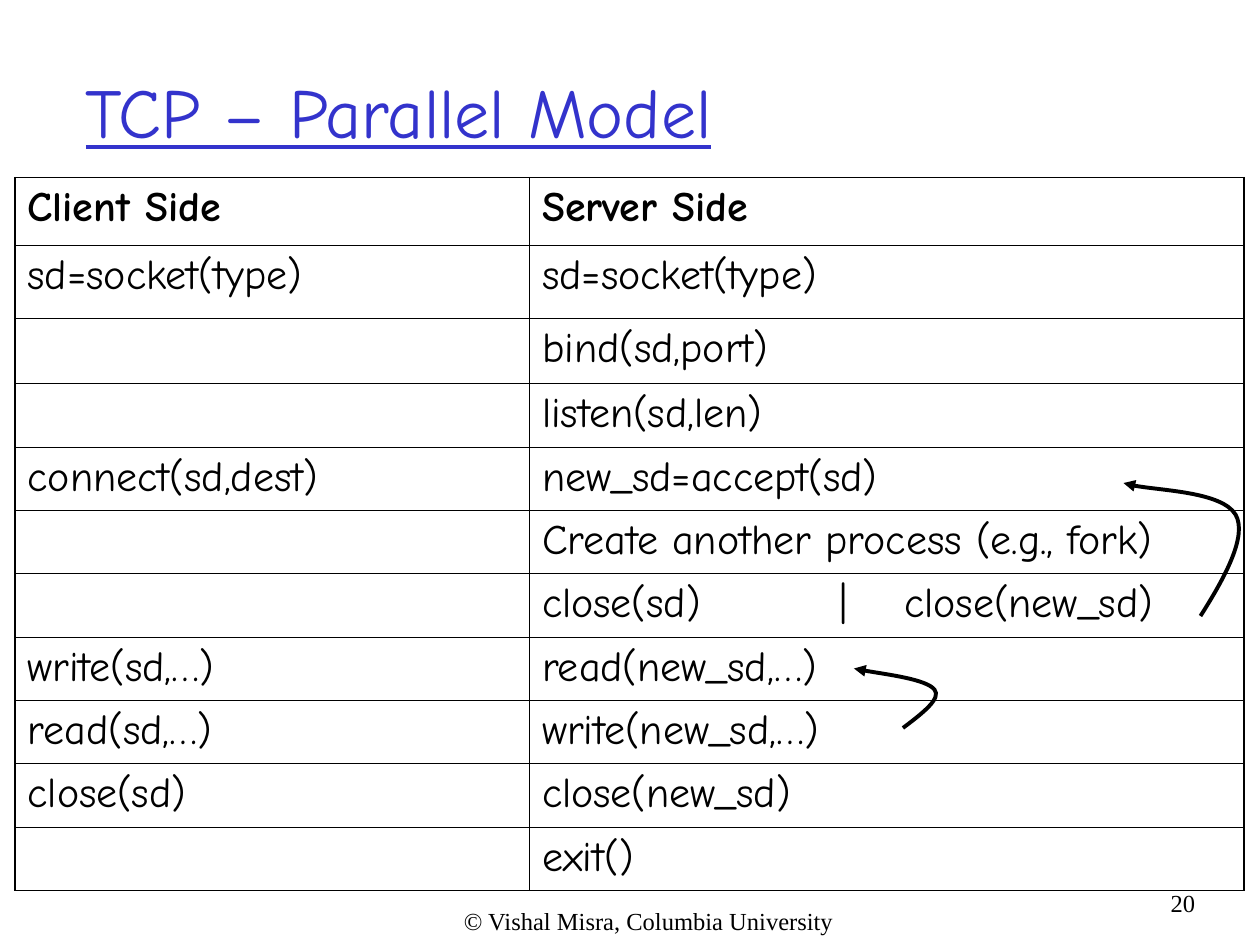
from lxml import etree
from pptx import Presentation
from pptx import util as u
from pptx.dml.color import RGBColor
from pptx.enum import text
from pptx.oxml.ns import qn

# Content
TITLE = "TCP – Parallel Model"
FOOTER = "© Vishal Misra, Columbia University"
PAGE_NUMBER = "20"
STEPS = [
    ("Client Side", "Server Side"),
    ("sd=socket(type)", "sd=socket(type)"),
    ("", "bind(sd,port)"),
    ("", "listen(sd,len)"),
    ("connect(sd,dest)", "new_sd=accept(sd)"),
    ("", "Create another process (e.g., fork)"),
    ("", "close(sd)\t|\tclose(new_sd)"),
    ("write(sd,…)", "read(new_sd,…)"),
    ("read(sd,…)", "write(new_sd,…)"),
    ("close(sd)", "close(new_sd)"),
    ("", "exit()"),
]
# Each loop arrow: start point, then two Bezier segments of three points
LOOP_ARROWS = [
    [(686.5, 352.5), (700, 329.5), (713, 306.5), (705.5, 293.5),
     (698, 281), (653, 279.5), (642.5, 276.5)],
    [(516.5, 415.5), (528, 407), (538.5, 399), (534, 393.5),
     (529, 388), (496, 383.5), (488.5, 381.5)],
]

# Style
COLORS = {"ink": "000000", "title": "3333CC"}
HAND, SERIF = "Comic Neue", "Times New Roman"
COLUMN_WIDTHS = [294, 408.5]
ROW_HEIGHTS = [38.9, 41.7, 37.1] + [36.2] * 8
TAB_STOPS = [170, 207]
THIN, THICK = 0.45, 1.08


def add_run(paragraph, words, font, size, color="ink", bold=False, underline=False):
    run = paragraph.add_run()
    run.text = words
    run.font.name = font
    run.font.size = u.Pt(size)
    run.font.bold = bold
    run.font.underline = underline
    run.font.color.rgb = RGBColor.from_string(COLORS[color])


def add_label(slide, box, words, font, size, wrap=True, align=text.PP_ALIGN.LEFT,
              anchor=text.MSO_ANCHOR.TOP, **style):
    frame = slide.shapes.add_textbox(*map(u.Pt, box)).text_frame
    frame.word_wrap = wrap
    frame.vertical_anchor = anchor
    paragraph = frame.paragraphs[0]
    paragraph.alignment = align
    add_run(paragraph, words, font, size, **style)


def add_tab_stops(paragraph, stops):
    tab_list = etree.SubElement(paragraph._p.get_or_add_pPr(), qn("a:tabLst"))
    for stop in stops:
        etree.SubElement(tab_list, qn("a:tab"), pos=str(int(u.Pt(stop))), algn="l")


def set_borders(cell, widths):
    properties = cell._tc.get_or_add_tcPr()
    for side, width in widths.items():
        line = etree.SubElement(properties, qn("a:ln" + side), w=str(int(u.Pt(width))))
        fill = etree.SubElement(line, qn("a:solidFill"))
        etree.SubElement(fill, qn("a:srgbClr"), val=COLORS["ink"])


def add_step_table(slide):
    rows, columns = len(STEPS), len(COLUMN_WIDTHS)
    table = slide.shapes.add_table(
        rows, columns, u.Pt(8.6), u.Pt(101.5),
        u.Pt(sum(COLUMN_WIDTHS)), u.Pt(sum(ROW_HEIGHTS))).table
    table.first_row = table.horz_banding = False
    for column, width in zip(table.columns, COLUMN_WIDTHS):
        column.width = u.Pt(width)
    for i, (step, height) in enumerate(zip(STEPS, ROW_HEIGHTS)):
        table.rows[i].height = u.Pt(height)
        for j, words in enumerate(step):
            cell = table.cell(i, j)
            # Thick outer frame, thin inner grid
            outer = {"L": j == 0, "R": j == columns - 1, "T": i == 0, "B": i == rows - 1}
            set_borders(cell, {side: THICK if edge else THIN for side, edge in outer.items()})
            cell.fill.background()
            if not words:
                continue
            paragraph = cell.text_frame.paragraphs[0]
            paragraph.space_before = u.Pt(6)
            if "\t" in words:
                add_tab_stops(paragraph, TAB_STOPS)
            add_run(paragraph, words, HAND, 24, bold=i == 0)


def add_loop_arrow(slide, points):
    builder = slide.shapes.build_freeform(*points[0], scale=u.Pt(1))
    builder.add_line_segments(points[1:], close=False)
    shape = builder.convert_to_shape()
    shape.shadow.inherit = False
    shape.fill.background()
    shape.line.width = u.Pt(2.25)
    shape.line.color.rgb = RGBColor.from_string(COLORS["ink"])
    etree.SubElement(shape.line._get_or_add_ln(), qn("a:tailEnd"), type="triangle")
    # Join every three straight segments into one Bezier segment
    segments = list(shape._element.iter(qn("a:lnTo")))
    for k in range(0, len(segments), 3):
        curve = etree.Element(qn("a:cubicBezTo"))
        segments[k].addprevious(curve)
        for segment in segments[k:k + 3]:
            curve.append(segment[0])
            segment.getparent().remove(segment)


def main():
    presentation = Presentation()
    presentation.slide_width, presentation.slide_height = u.Pt(720), u.Pt(540)
    slide = presentation.slides.add_slide(presentation.slide_layouts[6])

    # Footer, page number and title
    add_label(slide, (258, 514, 227, 24.5), FOOTER, SERIF, 14, wrap=False)
    add_label(slide, (654, 504, 36, 36), PAGE_NUMBER, SERIF, 14, align=text.PP_ALIGN.RIGHT)
    add_label(slide, (42, 18, 612, 90), TITLE, HAND, 40, anchor=text.MSO_ANCHOR.MIDDLE,
              color="title", underline=True)

    # Call sequence and its loops
    add_step_table(slide)
    for points in LOOP_ARROWS:
        add_loop_arrow(slide, points)

    presentation.save("out.pptx")


if __name__ == "__main__":
    main()
